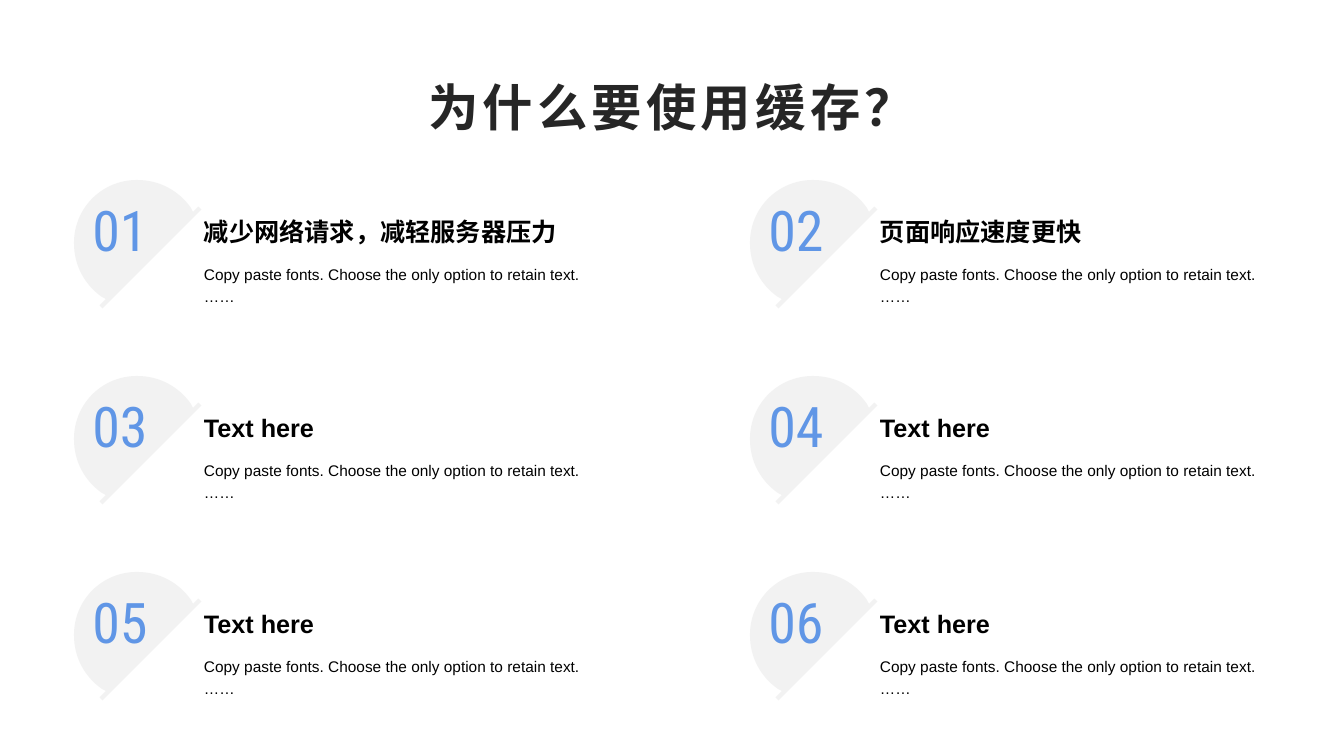
from lxml import etree
from pptx import Presentation
from pptx import util as u
from pptx.dml.color import RGBColor
from pptx.enum import shapes, text
from pptx.oxml.ns import qn

PX = 914400 / 100.8
INK = RGBColor(0x26, 0x26, 0x26)
BLACK = RGBColor(0, 0, 0)
BLUE = RGBColor(0x60, 0x96, 0xE6)
PALE = RGBColor(0xF2, 0xF2, 0xF2)

TITLE = dict(name="Arial", size=u.Pt(36), bold=True)
NUMBER = dict(name="Roboto Condensed", size=u.Pt(40))
HEADING = dict(name="Arial", size=u.Pt(18), bold=True)
BODY = dict(name="Arial", size=u.Pt(11))

BODY_LINES = ["Copy paste fonts. Choose the only option to retain text.", "……"]
REASONS = ["减少网络请求，减轻服务器压力", "页面响应速度更快"] + ["Text here"] * 4

LEFT, TOP = 74, 180
COLUMN_STEP, ROW_STEP = 676, 196

# Cut disc: a start point, then the points that follow it;
# each index in CURVES begins two control points and an end point.
CUT_DISC = [(63, 0), (86, 0), (105, 11), (117, 28), (120, 34), (34, 120), (28, 117),
            (11, 105), (0, 86), (0, 63), (0, 28), (28, 0), (63, 0)]
CURVES = [0, 6, 9]


def px(*lengths):
    return [u.Emu(round(length * PX)) for length in lengths]


def add_text(box, lines, font, color, align=text.PP_ALIGN.LEFT,
             anchor=text.MSO_ANCHOR.MIDDLE, spacing=None):
    """Add a wrapping text box, one paragraph per line, and return its frame."""
    frame = slide.shapes.add_textbox(*px(*box)).text_frame
    frame.word_wrap = True
    frame.vertical_anchor = anchor
    frame.text = "\n".join(lines)
    for paragraph in frame.paragraphs:
        paragraph.alignment = align
        paragraph.line_spacing = spacing
        run_font = paragraph.runs[0].font
        for key, value in font.items():
            setattr(run_font, key, value)
        run_font.color.rgb = color
    return frame


prs = Presentation()
prs.slide_width, prs.slide_height = px(1344, 756)
slide = prs.slides.add_slide(prs.slide_layouts[6])

title = add_text((67, 67, 1210, 78), ["为什么要使用缓存？"], TITLE, INK,
                 align=text.PP_ALIGN.CENTER)
title.paragraphs[0].runs[0]._r.get_or_add_rPr().set("spc", "300")

for index, reason in enumerate(REASONS):
    row, column = divmod(index, 2)
    x = LEFT + column * COLUMN_STEP
    y = TOP + row * ROW_STEP

    outline = [px(x + dx, y + dy) for dx, dy in CUT_DISC]
    builder = slide.shapes.build_freeform(*outline[0])
    builder.add_line_segments(outline[1:], close=True)
    disc = builder.convert_to_shape()
    segments = list(disc._element.iter(qn("a:lnTo")))
    for first in CURVES:
        curve = etree.Element(qn("a:cubicBezTo"))
        segments[first].addprevious(curve)
        for segment in segments[first:first + 3]:
            curve.append(segment[0])
            segment.getparent().remove(segment)
    disc.shadow.inherit = False
    disc.fill.solid()
    disc.fill.fore_color.rgb = PALE
    disc.line.fill.background()

    slash = slide.shapes.add_connector(
        shapes.MSO_CONNECTOR.STRAIGHT, *px(x + 126, y + 28, x + 27, y + 127))
    slash.line.color.rgb = PALE
    slash.line.width = u.Pt(3)
    etree.SubElement(slash._element.spPr, qn("a:effectLst"))

    add_text((x, y + 10, 92, 78), [f"{index + 1:02}"], NUMBER, BLUE,
             align=text.PP_ALIGN.CENTER)
    add_text((x + 120, y + 76, 401, 85), BODY_LINES, BODY, BLACK,
             anchor=text.MSO_ANCHOR.TOP, spacing=1.2)
    add_text((x + 120, y + 27, 401, 49), [reason], HEADING, BLACK)

prs.save("out.pptx")
